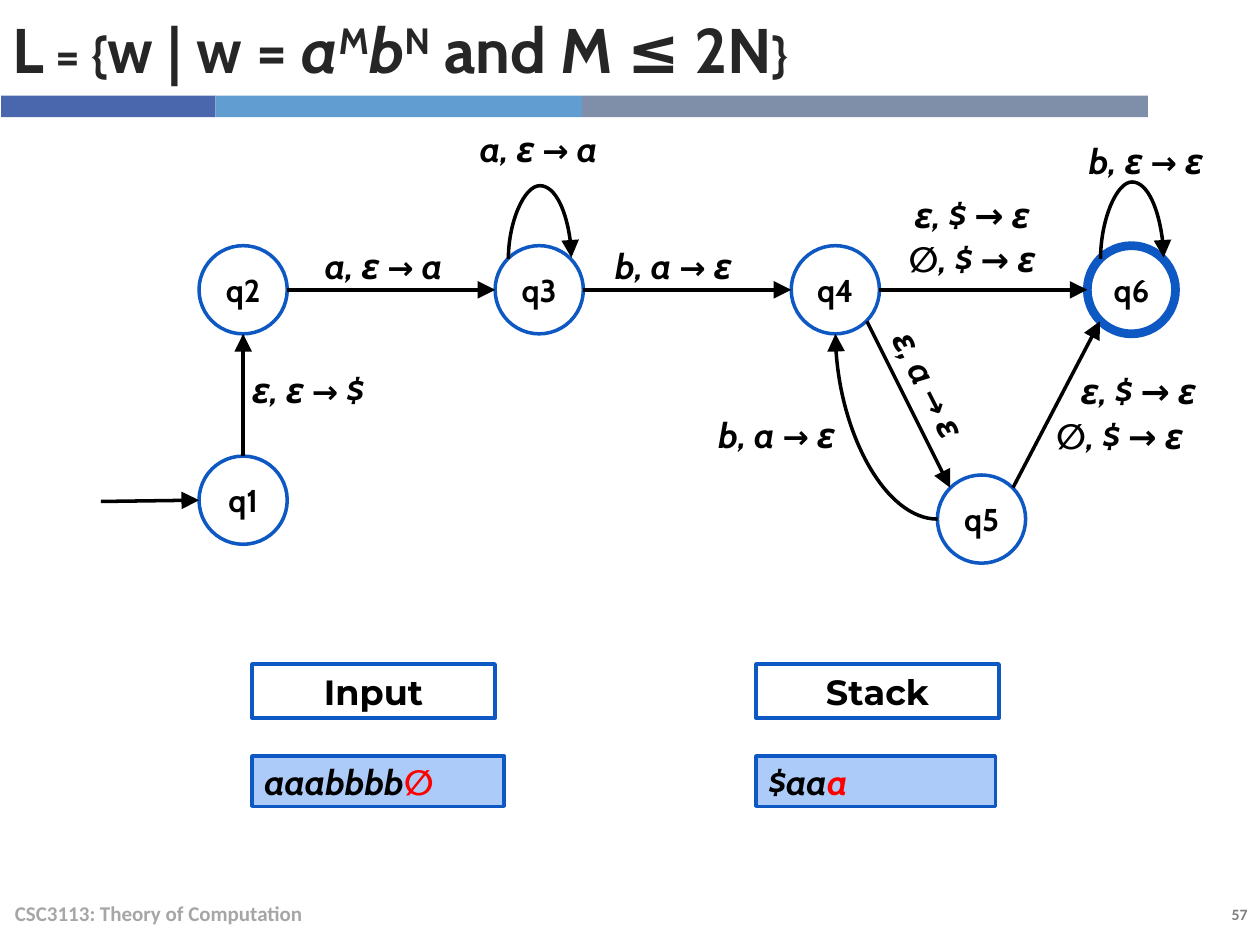
from lxml import etree
from pptx import Presentation
from pptx.dml.color import RGBColor
from pptx.enum.lang import MSO_LANGUAGE_ID
from pptx.enum.shapes import MSO_CONNECTOR, MSO_SHAPE
from pptx.enum.text import MSO_ANCHOR, MSO_AUTO_SIZE, PP_ALIGN
from pptx.oxml.ns import qn
from pptx.util import Inches, Pt

STRAIGHT, CURVE = MSO_CONNECTOR.STRAIGHT, MSO_CONNECTOR.CURVE
RECT, OVAL = MSO_SHAPE.RECTANGLE, MSO_SHAPE.OVAL
LEFT, CENTER, RIGHT = PP_ALIGN.LEFT, PP_ALIGN.CENTER, PP_ALIGN.RIGHT
MIDDLE, TOP = MSO_ANCHOR.MIDDLE, MSO_ANCHOR.TOP
SYMBOL_LANGUAGE = MSO_LANGUAGE_ID.ENGLISH_UK
BLUE, BLACK, WHITE, RED = "0E58C4", "000000", "FFFFFF", "FF0000"
RADIUS, DIAGONAL = 0.35, 0.25
SIDES = {"N": (0, -RADIUS), "S": (0, RADIUS), "W": (-RADIUS, 0), "E": (RADIUS, 0),
         "NW": (-DIAGONAL, -DIAGONAL), "NE": (DIAGONAL, -DIAGONAL),
         "SW": (-DIAGONAL, DIAGONAL), "SE": (DIAGONAL, DIAGONAL)}


def color(value):
    return RGBColor.from_string(value)


def style(p, size, name, fill=BLACK, italic=False, align=LEFT):
    p.alignment = align
    f = p.font
    f.size, f.name, f.bold, f.italic = Pt(size), name, True, italic
    f.color.rgb = color(fill)


def add_run(p, text):
    r = p.add_run()
    r.text = text
    return r


def add_text(s, box, text, size, name, fill=BLACK, italic=False, align=LEFT, anchor=MIDDLE):
    sp = s.shapes.add_textbox(*map(Inches, box))
    tf = sp.text_frame
    tf.word_wrap, tf.vertical_anchor = True, anchor
    p = tf.paragraphs[0]
    if text:
        add_run(p, text)
    style(p, size, name, fill, italic, align)
    return sp


def add_box(s, kind, box, fill, line=None, width=2):
    sp = s.shapes.add_shape(kind, *map(Inches, box))
    sp.shadow.inherit = False
    sp.fill.solid()
    sp.fill.fore_color.rgb = color(fill)
    if line:
        sp.line.color.rgb = color(line)
        sp.line.width = Pt(width)
    else:
        sp.line.fill.background()
    sp.text_frame.vertical_anchor = MIDDLE
    return sp


def add_arrow(s, start, end, kind=STRAIGHT, arrow="tailEnd"):
    c = s.shapes.add_connector(kind, *map(Inches, (*start, *end)))
    c.line.color.rgb = color(BLACK)
    c.line.width = Pt(2)
    ln = c.line._get_or_add_ln()
    etree.SubElement(ln, qn("a:" + arrow), type="triangle", w="lg", len="lg")
    etree.SubElement(c._element.spPr, qn("a:effectLst"))
    return c


def turn(c, angle, **flips):
    xfrm = c._element.spPr.find(qn("a:xfrm"))
    xfrm.set("rot", str(angle * 60000))
    for key, value in flips.items():
        xfrm.set(key, value)


def add_loop(s, x, y, height):
    thin = 0.01
    left, top = x, y - 0.5
    c = add_arrow(s, (left, top), (left + thin, top + 2 * DIAGONAL), CURVE)
    turn(c, 90, flipH="1", flipV="1")
    guides = c._element.spPr.find(qn("a:prstGeom")).get_or_add_avLst()
    etree.SubElement(guides, qn("a:gd"), name="adj1", fmla=f"val {round(height / thin * 100000)}")


def add_bend(s, start, end):
    (x1, y1), (x2, y2) = start, end
    w, h = y2 - y1, x2 - x1
    left, top = (x1 + x2 - w) / 2, (y1 + y2 - h) / 2
    c = add_arrow(s, (left, top), (left + w, top + h), CURVE, "headEnd")
    c._element.spPr.find(qn("a:prstGeom")).set("prst", "curvedConnector2")
    turn(c, 270, flipH="1")


def add_label(s, x, y, text, arrow_size=18, angle=0):
    sp = add_text(s, (x, y, 1.43, 0.48), "", 20, "Cabin", italic=True, align=CENTER)
    sp.rotation = angle
    p = sp.text_frame.paragraphs[0]
    before, after = text.split("→")
    if before.startswith("∅"):
        add_run(p, "∅").font.language_id = SYMBOL_LANGUAGE
        before = before[1:]
    add_run(p, before)
    add_run(p, "→").font.size = Pt(arrow_size)
    add_run(p, after)


def add_title(s, x, y, w, h):
    sp = s.shapes.title
    sp.left, sp.top, sp.width, sp.height = map(Inches, (x, y, w, h))
    tf = sp.text_frame
    tf.word_wrap, tf.vertical_anchor, tf.auto_size = True, MIDDLE, MSO_AUTO_SIZE.NONE
    p = tf.paragraphs[0]
    style(p, 36, "Cabin", "262626")
    parts = [("L = {", "cap"), ("w | w = ", ""), ("a", "i"), ("M", "up"), ("b", "i"),
             ("N", "up"), (" and M ≤ 2N", ""), ("}", "cap")]
    for text, look in parts:
        r = add_run(p, text)
        if look == "i":
            r.font.italic = True
        elif look == "up":
            r.font._element.set("baseline", "30000")
        elif look == "cap":
            r.font._element.set("cap", "small")


def add_stripe(s, x, y, h):
    for w, fill in [(1.7, "4A66AC"), (2.91, "629DD1"), (4.49, "7F8FA9")]:
        add_box(s, RECT, (x, y, w, h), fill)
        x += w


def add_automaton(s, x, y):
    first, pitch, row = x + 1.13, 2.35, y + 1.36
    states = {name: (first + i * pitch, row) for i, name in enumerate(("q2", "q3", "q4", "q6"))}
    states["q1"] = (first, y + 3.03)
    states["q5"] = (x + 6.99, y + 3.18)

    def port(name, side):
        return tuple(a + b for a, b in zip(states[name], SIDES[side]))

    for name, (cx, cy) in states.items():
        box = (cx - RADIUS, cy - RADIUS, 2 * RADIUS, 2 * RADIUS)
        sp = add_box(s, OVAL, box, WHITE, BLUE, 5 if name == "q6" else 2)
        p = sp.text_frame.paragraphs[0]
        add_run(p, name)
        style(p, 18, "Cabin", align=CENTER)

    add_arrow(s, (x, y + 3.04), port("q1", "W"))
    for a, side_a, b, side_b in [("q1", "N", "q2", "S"), ("q2", "E", "q3", "W"),
                                 ("q3", "E", "q4", "W"), ("q4", "E", "q6", "W"),
                                 ("q4", "SE", "q5", "NW"), ("q5", "NE", "q6", "SW")]:
        add_arrow(s, port(a, side_a), port(b, side_b))
    add_bend(s, port("q4", "S"), port("q5", "W"))
    add_loop(s, *states["q3"], 0.59)
    add_loop(s, *states["q6"], 0.62)

    for dx, dy, *label in [
        (1.53, 0.93, "a, ε → a"), (3.83, 0.93, "b, a → ε"), (2.76, 0, "a, ε → a"),
        (7.58, 0.09, "b, ε → ε"), (0.93, 1.91, "ε, ε → $"), (4.65, 2.27, "b, a → ε"),
        (5.86, 1.87, "ε, a → ε", 18, 63.2),
        (6.2, 0.52, "ε, $ → ε", 20), (6.2, 0.87, "∅, $ → ε", 19.5),
        (7.52, 1.92, "ε, $ → ε", 20), (7.37, 2.28, "∅, $ → ε", 19.5),
    ]:
        add_label(s, x + dx, y + dy, *label)


def add_tape(s, x, y, w, heading, text, mark):
    sp = add_box(s, RECT, (x, y, 1.93, 0.43), WHITE, BLUE)
    p = sp.text_frame.paragraphs[0]
    add_run(p, heading)
    style(p, 20, "Montserrat", align=CENTER)

    sp = add_box(s, RECT, (x, y + 0.73, w, 0.4), "ACCBF9", BLUE)
    p = sp.text_frame.paragraphs[0]
    add_run(p, text)
    add_run(p, mark).font.color.rgb = color(RED)
    style(p, 20, "Cabin", italic=True)


def add_footer(s, x, y, w):
    add_text(s, (x, y, 6.7, 0.4), "CSC3113: Theory of Computation", 12, "Calibri", "A6A6A6")
    add_text(s, (x + w - 1.27, y + 0.08, 1.27, 0.25), "57", 9, "Calibri", "808080",
             align=RIGHT, anchor=TOP)


def main():
    prs = Presentation()
    prs.slide_width, prs.slide_height = Inches(10), Inches(7.5)
    s = prs.slides.add_slide(prs.slide_layouts[5])
    add_title(s, 0, 0, 9.1, 0.76)
    add_stripe(s, 0.01, 0.76, 0.17)
    add_automaton(s, 0.8, 0.94)
    add_tape(s, 2, 5.27, 2, "Input", "aaabbbb", "∅")
    add_tape(s, 6, 5.27, 1.9, "Stack", "$aa", "a")
    add_footer(s, 0.02, 7.05, 9.98)
    prs.save("out.pptx")


if __name__ == "__main__":
    main()
